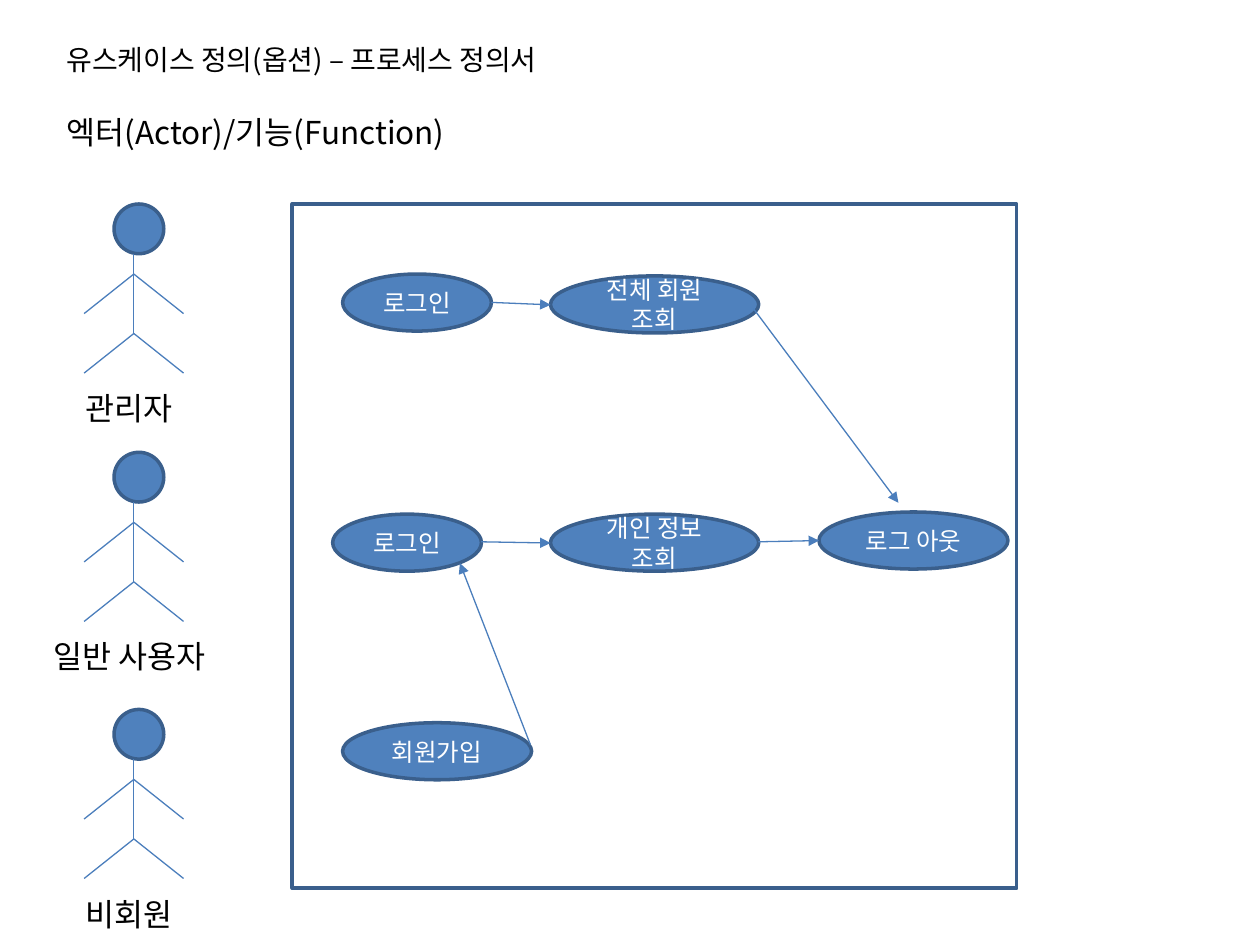
from dataclasses import dataclass

from lxml import etree
from pptx import Presentation
from pptx import util as u
from pptx.dml.color import RGBColor
from pptx.enum import shapes, text
from pptx.oxml import ns

FONT = "Noto Sans CJK KR"
BLACK, WHITE = "000000", "FFFFFF"
FILL, OUTLINE, LINE = "4F81BD", "3A5F8C", "4B7EBC"
LEFT, CENTER = text.PP_ALIGN.LEFT, text.PP_ALIGN.CENTER


@dataclass
class Actor:
    name: str
    top: float


@dataclass
class UseCase:
    name: str
    left: float
    top: float
    width: float


@dataclass
class Arrow:
    start: tuple[float, float]
    end: tuple[float, float]


ACTORS = [Actor("관리자", 116.6), Actor("일반 사용자", 258.5), Actor("비회원", 405.4)]
USE_CASES = [
    UseCase("전체 회원 조회", 314.6, 157.7, 119),
    UseCase("로그인", 195.8, 156.6, 85),
    UseCase("로그 아웃", 468, 292.6, 108),
    UseCase("로그인", 190.1, 293.8, 85),
    UseCase("개인 정보 조회", 314.6, 293.8, 119),
    UseCase("회원가입", 195.8, 413, 108),
]
ARROWS = [
    Arrow((280.8, 172.8), (314.6, 174.2)),
    Arrow((275, 309.6), (314.6, 310.3)),
    Arrow((433.4, 309.6), (468, 308.9)),
    Arrow((303.1, 425.5), (262.8, 321.8)),
    Arrow((430.6, 176.4), (513.4, 287.3)),
]


def color(value: str) -> RGBColor:
    return RGBColor.from_string(value)


def write(paragraph, content: str, *, size: float, ink: str = BLACK,
          align=LEFT, before: float = 0) -> None:
    paragraph.alignment = align
    paragraph.space_before = u.Pt(before)
    run = paragraph.add_run()
    run.text = content
    run.font.name = FONT
    run.font.size = u.Pt(size)
    run.font.color.rgb = color(ink)
    east_asian = etree.SubElement(run.font._element, ns.qn("a:ea"))
    east_asian.set("typeface", FONT)


def add_text_box(slide, left: float, top: float, width: float, height: float):
    box = slide.shapes.add_textbox(u.Pt(left), u.Pt(top), u.Pt(width), u.Pt(height))
    box.text_frame.word_wrap = True
    return box.text_frame


def add_outlined(slide, kind, left: float, top: float, width: float,
                 height: float, fill: str | None = FILL):
    shape = slide.shapes.add_shape(kind, u.Pt(left), u.Pt(top), u.Pt(width), u.Pt(height))
    shape.shadow.inherit = False
    if fill:
        shape.fill.solid()
        shape.fill.fore_color.rgb = color(fill)
    else:
        shape.fill.background()
    shape.line.color.rgb = color(OUTLINE)
    shape.line.width = u.Pt(2)
    return shape


def add_line(slide, start: tuple[float, float], end: tuple[float, float],
             arrow: bool = False) -> None:
    connector = slide.shapes.add_connector(
        shapes.MSO_CONNECTOR.STRAIGHT, *(u.Pt(value) for value in start + end))
    connector.line.color.rgb = color(LINE)
    connector.line.width = u.Pt(0.75)
    if arrow:
        etree.SubElement(connector.line._get_or_add_ln(), ns.qn("a:tailEnd"), type="triangle")
    etree.SubElement(connector._element.spPr, ns.qn("a:effectLst"))


def add_actor(slide, actor: Actor) -> None:
    center, reach, drop = 76.5, 28.4, 22.6
    neck, shoulder, hip = (actor.top + offset for offset in (28.6, 40, 74))
    add_outlined(slide, shapes.MSO_SHAPE.OVAL, 65.2, actor.top, 28.4, 28.4)
    add_line(slide, (center, neck), (center, hip))
    for joint in (shoulder, hip):
        for side in (-reach, reach):
            add_line(slide, (center, joint), (center + side, joint + drop))
    label = add_text_box(slide, 14.4, actor.top + 102.2, 119, 29)
    write(label.paragraphs[0], actor.name, size=18, align=CENTER)


def add_use_case(slide, case: UseCase) -> None:
    shape = add_outlined(slide, shapes.MSO_SHAPE.OVAL, case.left, case.top, case.width, 32.6)
    frame = shape.text_frame
    frame.word_wrap = True
    frame.vertical_anchor = text.MSO_ANCHOR.MIDDLE
    write(frame.paragraphs[0], case.name, size=14, ink=WHITE, align=CENTER)


def main() -> None:
    presentation = Presentation()
    presentation.slide_width, presentation.slide_height = u.Pt(720), u.Pt(540)
    slide = presentation.slides.add_slide(presentation.slide_layouts[6])

    # Headings
    headings = add_text_box(slide, 31, 20.9, 465, 70.6)
    write(headings.paragraphs[0], "유스케이스 정의(옵션) – 프로세스 정의서", size=16)
    write(headings.add_paragraph(), "엑터(Actor)/기능(Function)", size=18, before=21)

    # System boundary
    add_outlined(slide, shapes.MSO_SHAPE.RECTANGLE, 167, 116.6, 414, 391, fill=None)

    # Actors, use cases and the flow between them
    for actor in ACTORS:
        add_actor(slide, actor)
    for case in USE_CASES:
        add_use_case(slide, case)
    for arrow in ARROWS:
        add_line(slide, arrow.start, arrow.end, arrow=True)

    presentation.save("out.pptx")


if __name__ == "__main__":
    main()
